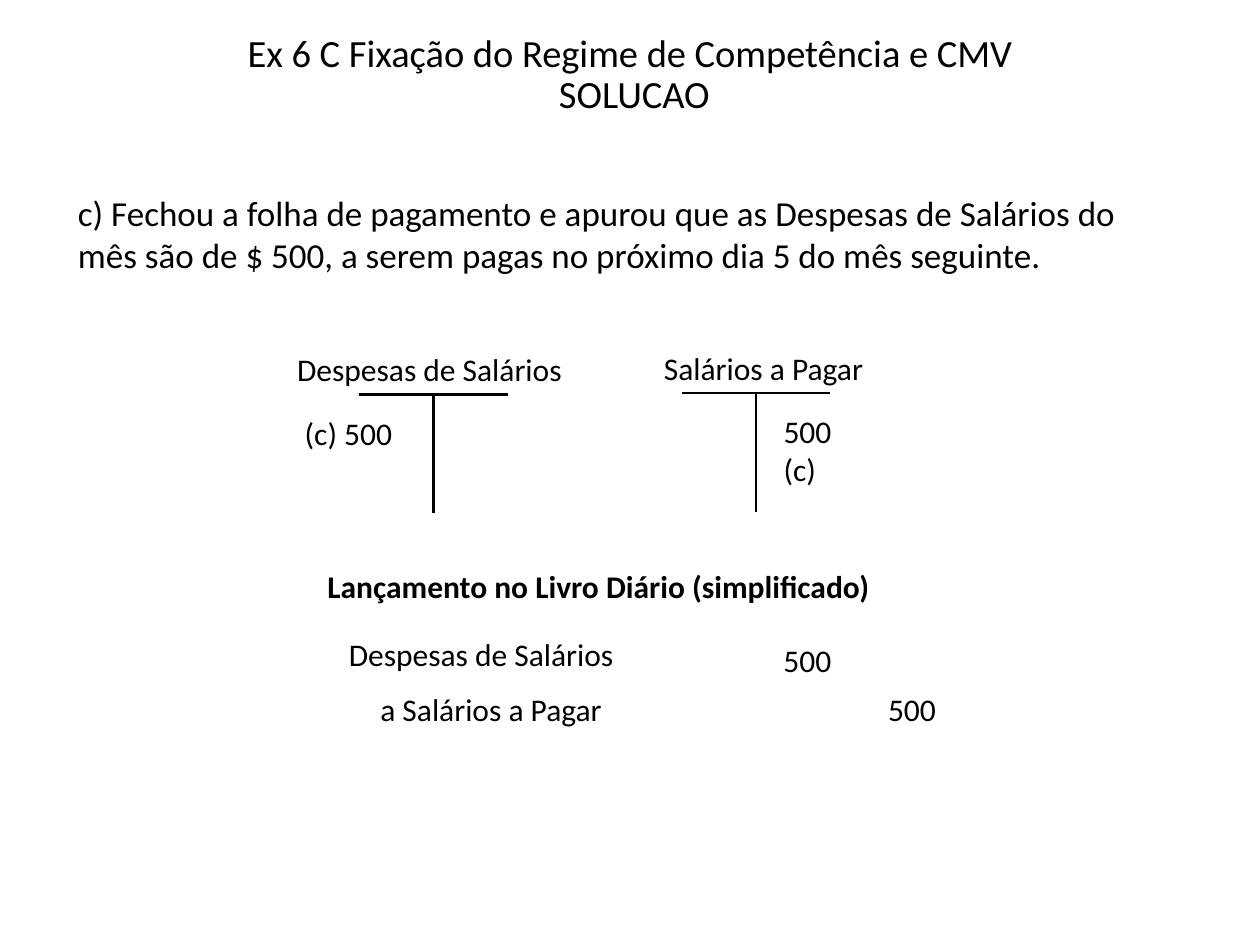
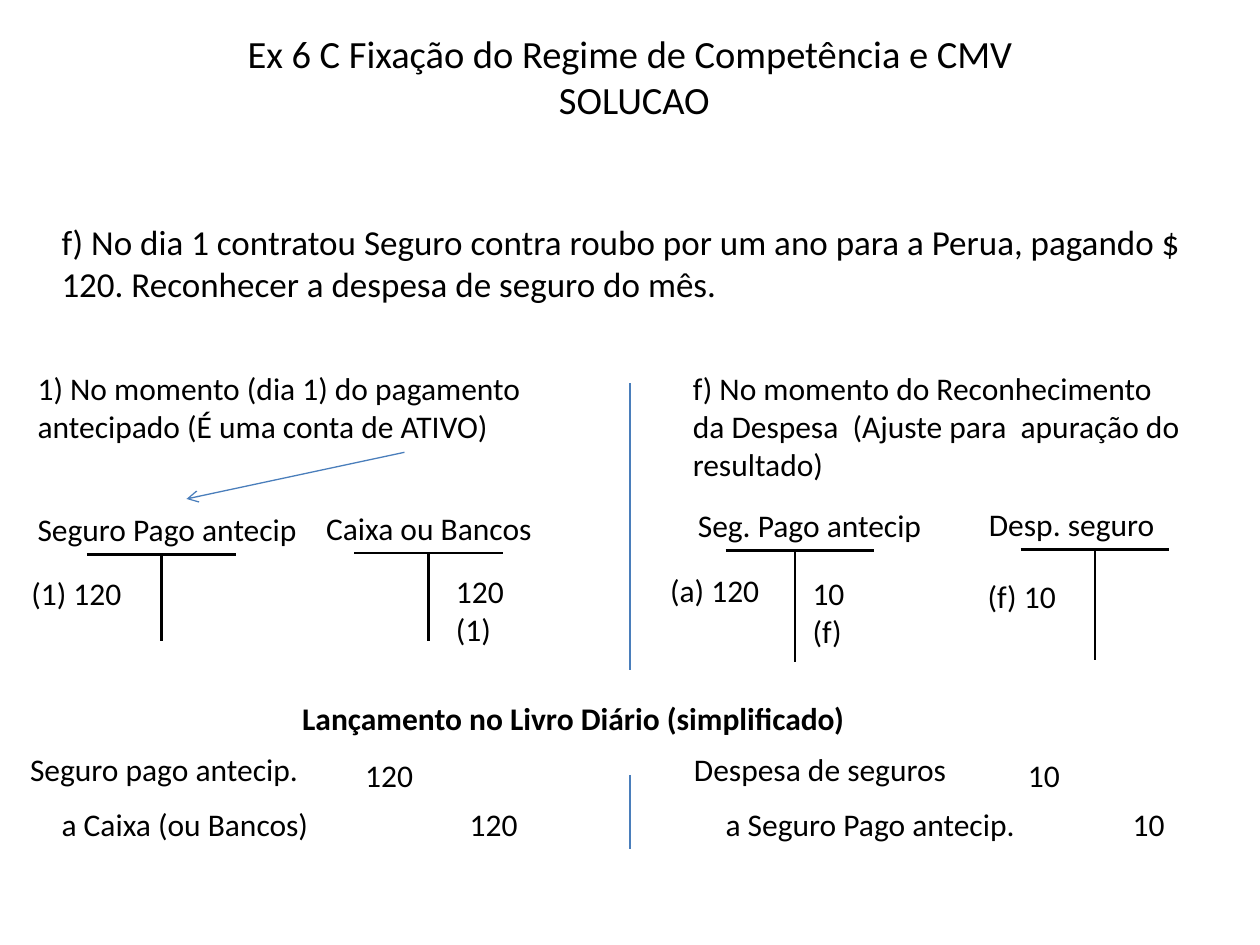
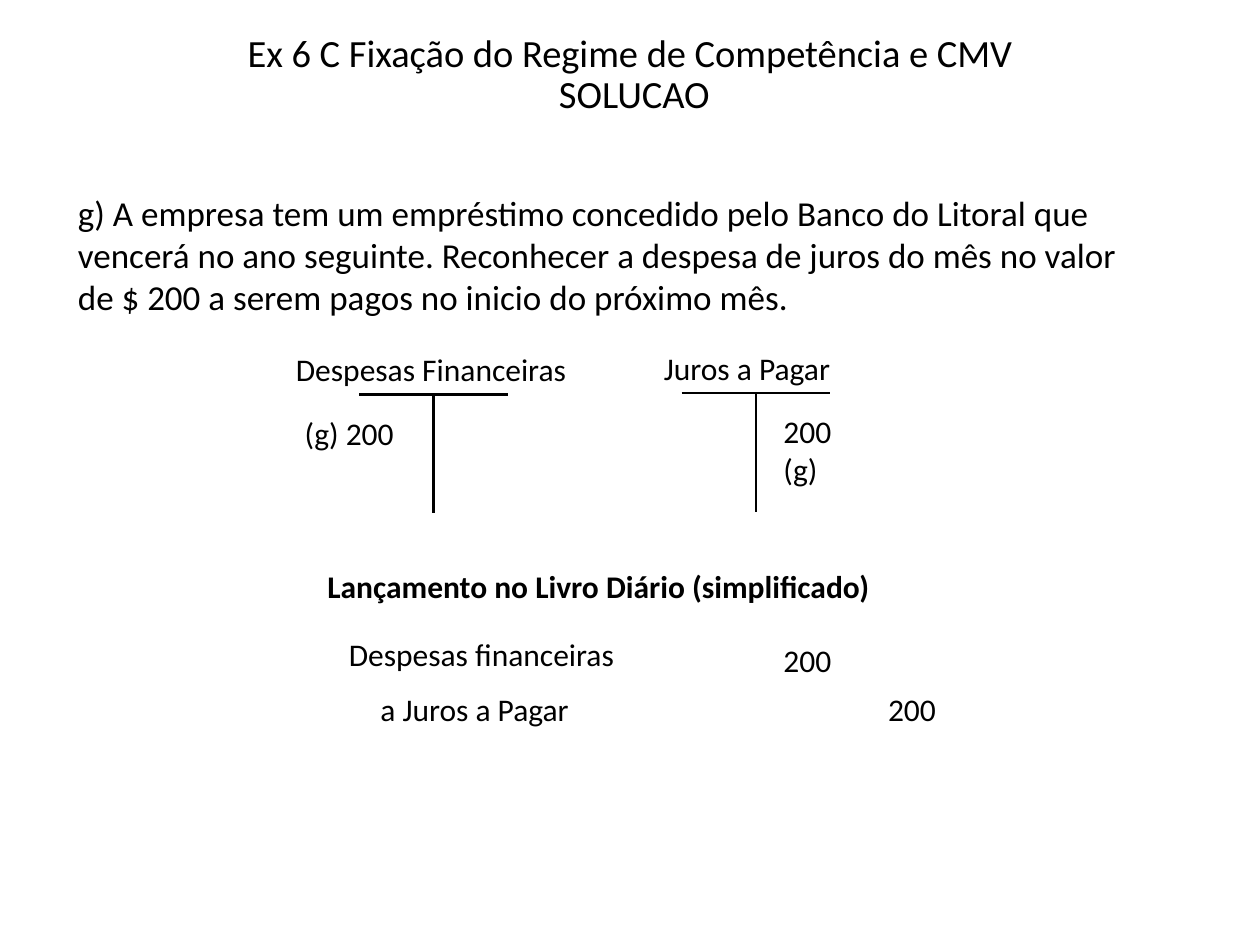
"""Build three slides of journal entries and T accounts."""
from pptx import Presentation
from pptx.dml.color import RGBColor
from pptx.enum.shapes import MSO_CONNECTOR as Link
from pptx.enum.text import MSO_ANCHOR as Anchor, MSO_AUTO_SIZE as Fit, PP_ALIGN as Align
from pptx.oxml.ns import qn
from pptx.util import Inches, Pt
from lxml.etree import SubElement

BLACK = RGBColor(0x00, 0x00, 0x00)
BLUE = RGBColor(0x4A, 0x7E, 0xBB)
FACE = "Calibri"
BAR = 1.18
HEAD = "Ex 6 C Fixação do Regime de Competência e CMV\v SOLUCAO"


def apply(item, values):
    """Set each attribute of item that values names."""
    for name, value in values.items():
        setattr(item, name, value)


def style(para, size, bold=False):
    """Give a paragraph its font."""
    apply(para.font, {"name": FACE, "size": Pt(size), "bold": bold})
    para.font.color.rgb = BLACK


def start(deck, anchor=Anchor.TOP, space=0.9):
    """Add a slide with the shared title."""
    slide = deck.slides.add_slide(deck.slide_layouts[5])
    title = slide.shapes.title
    apply(title, {"left": Inches(0.5), "top": Inches(0.22),
                  "width": Inches(9), "height": Inches(0.77)})
    frame = title.text_frame
    frame.text = HEAD
    apply(frame, {"auto_size": Fit.NONE, "vertical_anchor": anchor, "word_wrap": True})
    para = frame.paragraphs[0]
    apply(para, {"alignment": Align.CENTER, "line_spacing": space})
    style(para, 22)
    return slide


def write(slide, x, y, width, text, wrap=False, size=18, bold=False, height=0.4):
    """Add a text box."""
    box = slide.shapes.add_textbox(Inches(x), Inches(y), Inches(width), Inches(height))
    frame = box.text_frame
    frame.text = text
    apply(frame, {"word_wrap": wrap, "auto_size": Fit.SHAPE_TO_FIT_TEXT})
    style(frame.paragraphs[0], size, bold)


def draw(slide, x1, y1, x2, y2, color=BLACK, weight=1.5, arrow=False):
    """Add a straight line, with an arrowhead at its end if asked."""
    line = slide.shapes.add_connector(
        Link.STRAIGHT, Inches(x1), Inches(y1), Inches(x2), Inches(y2))
    line.line.color.rgb = color
    line.line.width = Pt(weight)
    props = line._element.spPr
    if arrow:
        SubElement(props.find(qn("a:ln")), qn("a:tailEnd"), type="arrow")
    SubElement(props, qn("a:effectLst"))


def account(slide, left, top, foot, name, *sums, stem=BAR / 2):
    """Draw a T account with its name above and sums beside the stem."""
    draw(slide, left, top, left + BAR, top)
    draw(slide, left + stem, top, left + stem, foot)
    x, width, text = name
    write(slide, x, top - 0.4, width, text)
    for x, drop, width, text, wrap in sums:
        write(slide, x, top + drop, width, text, wrap)


def entry(slide, x, y, col, debit, credit, value, width=0.63):
    """Write a journal entry: debit row, then indented credit row."""
    write(slide, x, y, *debit)
    write(slide, x + 0.25, y + 0.44, *credit)
    write(slide, col, y + 0.05, width, value)
    write(slide, col + 0.83, y + 0.44, width, value)


def banner(slide, x, y):
    """Write the heading of the journal."""
    write(slide, x, y, 4.52, "Lançamento no Livro Diário (simplificado)", bold=True)


def accrue(deck, task, cost, due, debit, credit, left, right, value):
    """Build a slide with one expense and one amount payable."""
    slide = start(deck)
    write(slide, 0.52, 1.47, 8.73, task, True, 20, height=0.77)
    account(slide, 2.85, 3.13, 4.07, cost, (2.32, 0.11, 1.18, left, True))
    account(slide, 5.41, 3.12, 4.06, due, right)
    banner(slide, 2.5, 4.45)
    entry(slide, 2.67, 4.99, 6.12, debit, credit, value)


def prepaid(deck):
    """Build the slide on insurance paid in advance."""
    slide = start(deck, Anchor.MIDDLE, 1.0)
    write(slide, 0.39, 1.7, 9.16,
          "f) No dia 1 contratou Seguro contra roubo por um ano para a Perua, pagando $ 120. "
          "Reconhecer a despesa de seguro do mês.", True, 20, height=0.77)
    write(slide, 0.2, 2.88, 4.09,
          "1) No momento (dia 1) do pagamento antecipado (É uma conta de ATIVO)", True, height=0.7)
    write(slide, 5.4, 2.88, 4.09,
          "f) No momento do Reconhecimento da Despesa  (Ajuste para  apuração do resultado)",
          True, height=1)
    account(slide, 0.69, 4.4, 5.09, (0.2, 2.27, "Seguro Pago antecip"),
            (0.15, 0.11, 1.18, "(1) 120", True))
    account(slide, 2.81, 4.39, 5.09, (2.49, 1.83, "Caixa ou Bancos"),
            (3.52, 0.1, 0.91, "120 (1)", False))
    account(slide, 5.76, 4.37, 5.25, (5.44, 1.98, "Seg. Pago antecip"),
            (5.22, 0.11, 1.18, "(a) 120", True), (6.35, 0.14, 0.65, "10 (f)", True), stem=0.55)
    account(slide, 8.1, 4.36, 5.24, (7.75, 1.51, "Desp. seguro"),
            (7.74, 0.17, 1.18, "(f) 10", True))
    banner(slide, 2.3, 5.5)
    entry(slide, 0.14, 5.9, 2.8, (2.34, "Seguro pago antecip."),
          (2.16, "a Caixa (ou Bancos)"), "120")
    entry(slide, 5.41, 5.9, 8.06, (2.2, "Despesa de seguros"),
          (2.51, "a Seguro Pago antecip."), "10", 0.51)
    for top, foot in ((3.04, 5.32), (6.15, 6.74)):
        draw(slide, 5, top, 5, foot, BLUE, 0.75)
    draw(slide, 3.21, 3.59, 1.48, 3.96, BLUE, 0.75, arrow=True)


def main():
    """Build and save the deck."""
    deck = Presentation()
    apply(deck, {"slide_width": Inches(10), "slide_height": Inches(7.5)})
    accrue(deck,
           "c) Fechou a folha de pagamento e apurou que as Despesas de Salários do mês "
           "são de $ 500, a serem pagas no próximo dia 5 do mês seguinte.",
           (2.26, 2.3, "Despesas de Salários"), (5.17, 1.79, "Salários a Pagar"),
           (2.3, "Despesas de Salários"), (1.97, "a Salários a Pagar"),
           "(c) 500", (6.12, 0.1, 0.89, "500 (c)", False), "500")
    prepaid(deck)
    accrue(deck,
           "g) A empresa tem um empréstimo concedido pelo Banco do Litoral que vencerá no ano "
           "seguinte. Reconhecer a despesa de juros do mês no valor de $ 200 a serem pagos "
           "no inicio do próximo mês.",
           (2.25, 2.35, "Despesas Financeiras"), (5.17, 1.53, "Juros a Pagar"),
           (2.31, "Despesas financeiras"), (1.71, "a Juros a Pagar"),
           "(g) 200", (6.12, 0.1, 0.8, "200 (g)", True), "200")
    deck.save("out.pptx")


if __name__ == "__main__":
    main()
